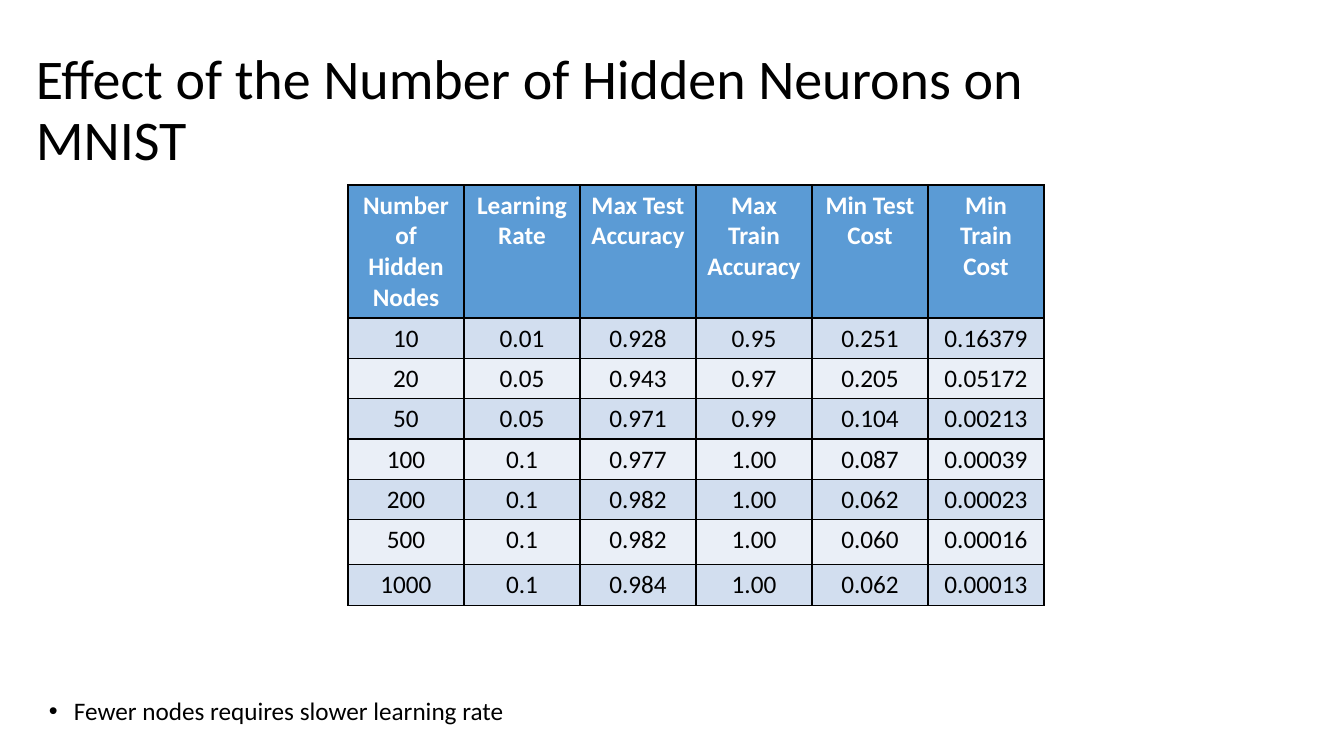
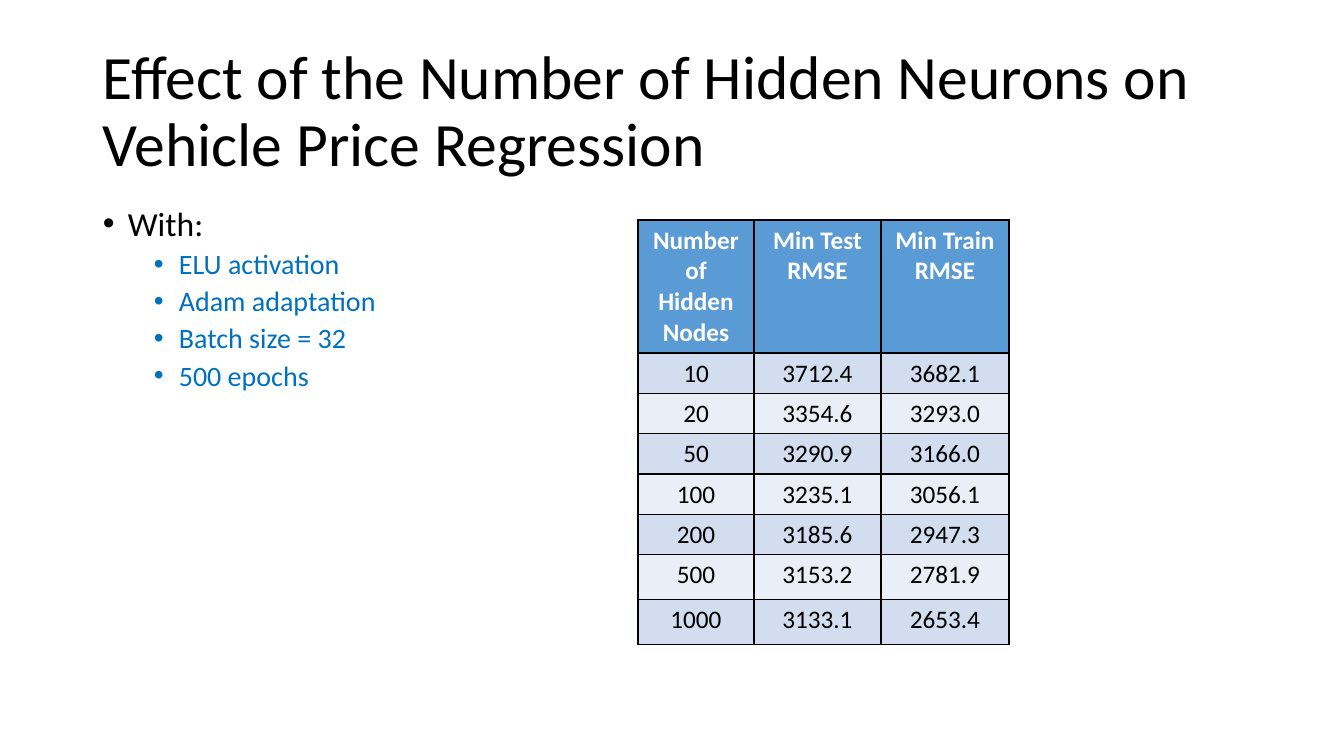
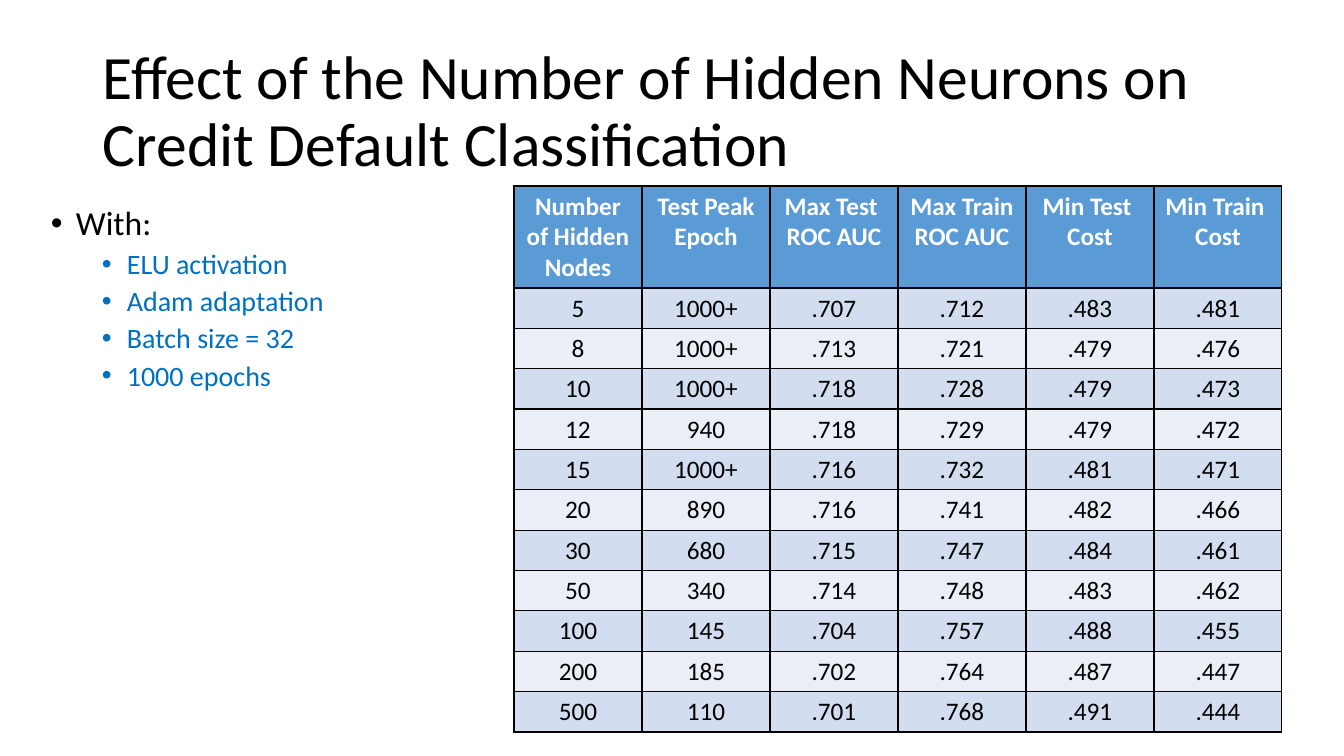
import dataclasses

import lxml.etree
import pptx
import pptx.dml.color
import pptx.enum.text
import pptx.oxml.ns
import pptx.util

FONT = "Calibri"
COLORS = {
    "ink": "000000",
    "white": "FFFFFF",
    "head": "5B9BD5",
    "odd": "D2DEEF",
    "even": "EAEFF7",
    "blue": "0070C0",
}
EMU = 914400 / 100.8  # one px
WIDE, HIGH = 1344, 756
ROW, INDENT, DEPTH = 40, 25, 51
ALIGN = pptx.enum.text.PP_ALIGN
ANCHOR = pptx.enum.text.MSO_ANCHOR


@dataclasses.dataclass
class Box:
    left: int
    top: int
    width: int
    height: int


@dataclasses.dataclass
class Item:
    text: str
    size: int
    color: str = "ink"
    level: int = 0


@dataclasses.dataclass
class Grid:
    left: int
    top: int
    widths: list[int]
    heights: list[int]
    heads: list[str]
    rows: list[str]


@dataclasses.dataclass
class Page:
    title: str
    size: int
    place: Box
    grid: Grid
    body: Box
    items: list[Item]


def px(value: int) -> int:
    return pptx.util.Emu(round(value * EMU))


def rgb(name: str) -> pptx.dml.color.RGBColor:
    return pptx.dml.color.RGBColor.from_string(COLORS[name])


def sub(parent, tag: str, **attrs: str):
    return lxml.etree.SubElement(parent, pptx.oxml.ns.qn(tag), **attrs)


def write(para, text: str, *, size: int = 18, color: str = "ink",
          bold: bool = False, align=ALIGN.LEFT, line: float = 1.0,
          before: int = 0) -> None:
    para.text = text
    para.alignment = align
    para.line_spacing = line
    para.space_before = pptx.util.Pt(before)
    for run in para.runs:
        run.font.name = FONT
        run.font.size = pptx.util.Pt(size)
        run.font.bold = bold
        run.font.color.rgb = rgb(color)


def frame(slide, box: Box, anchor=ANCHOR.TOP):
    shape = slide.shapes.add_textbox(
        px(box.left), px(box.top), px(box.width), px(box.height))
    shape.text_frame.word_wrap = True
    shape.text_frame.vertical_anchor = anchor
    return shape.text_frame


def bullets(slide, box: Box, items: list[Item]) -> None:
    area = frame(slide, box)
    for i, item in enumerate(items):
        para = area.add_paragraph() if i else area.paragraphs[0]
        write(para, item.text, size=item.size, color=item.color, line=0.9,
              before=5 if item.level else 10)
        para.level = item.level
        props = para._p.get_or_add_pPr()
        props.set("marL", str(px(INDENT + DEPTH * item.level)))
        props.set("indent", str(px(-INDENT)))
        sub(props, "a:buFont", typeface="Arial")
        sub(props, "a:buChar", char="•")


def border(cell) -> None:
    props = cell._tc.get_or_add_tcPr()
    for i, side in enumerate(("a:lnL", "a:lnR", "a:lnT", "a:lnB")):
        edge = sub(props, side, w="12700")
        sub(sub(edge, "a:solidFill"), "a:srgbClr", val=COLORS["ink"])
        props.insert(i, edge)  # borders come before the fill


def table(slide, grid: Grid) -> None:
    lines = [grid.heads] + [row.split() for row in grid.rows]
    tab = slide.shapes.add_table(
        len(lines), len(grid.heads), px(grid.left), px(grid.top),
        px(sum(grid.widths)), px(sum(grid.heights))).table
    for col, width in zip(tab.columns, grid.widths):
        col.width = px(width)
    for row, height in zip(tab.rows, grid.heights):
        row.height = px(height)
    for r, line in enumerate(lines):
        fill = "head" if r == 0 else "odd" if r % 2 else "even"
        for c, text in enumerate(line):
            cell = tab.cell(r, c)
            cell.fill.solid()
            cell.fill.fore_color.rgb = rgb(fill)
            border(cell)
            write(cell.text_frame.paragraphs[0], text, bold=r == 0,
                  color="ink" if r else "white", align=ALIGN.CENTER)


def setup(epochs: int) -> list[Item]:
    parts = ("ELU activation", "Adam adaptation", "Batch size = 32",
             f"{epochs} epochs")
    return [Item("With:", 24)] + [Item(part, 20, "blue", 1) for part in parts]


LEAD = "Effect of the Number of Hidden Neurons on "
NODES = "Number of Hidden Nodes"
PLACE = Box(93, 40, 1159, 146)

PAGES = [
    Page(
        "MNIST", 40, Box(26, 39, 1159, 146),
        Grid(348, 185, [116] * 6, [133] + [ROW] * 5 + [45, ROW],
             [NODES, "Learning Rate", "Max Test Accuracy",
              "Max Train Accuracy", "Min Test Cost", "Min Train Cost"],
             ["10 0.01 0.928 0.95 0.251 0.16379",
              "20 0.05 0.943 0.97 0.205 0.05172",
              "50 0.05 0.971 0.99 0.104 0.00213",
              "100 0.1 0.977 1.00 0.087 0.00039",
              "200 0.1 0.982 1.00 0.062 0.00023",
              "500 0.1 0.982 1.00 0.060 0.00016",
              "1000 0.1 0.984 1.00 0.062 0.00013"]),
        Box(39, 694, 632, 43),
        [Item("Fewer nodes requires slower learning rate", 18)]),
    Page(
        "Vehicle Price Regression", 44, PLACE,
        Grid(638, 220, [116, 127, 128], [133] + [ROW] * 5 + [45, 45],
             [NODES, "Min Test RMSE", "Min Train RMSE"],
             ["10 3712.4 3682.1",
              "20 3354.6 3293.0",
              "50 3290.9 3166.0",
              "100 3235.1 3056.1",
              "200 3185.6 2947.3",
              "500 3153.2 2781.9",
              "1000 3133.1 2653.4"]),
        Box(93, 202, 514, 430), setup(500)),
    Page(
        "Credit Default Classification", 44, PLACE,
        Grid(514, 186, [128] * 6, [102] + [ROW] * 11,
             [NODES, "Test Peak Epoch", "Max Test \vROC AUC",
              "Max Train\vROC AUC", "Min Test \vCost", "Min Train \vCost"],
             ["5 1000+ .707 .712 .483 .481",
              "8 1000+ .713 .721 .479 .476",
              "10 1000+ .718 .728 .479 .473",
              "12 940 .718 .729 .479 .472",
              "15 1000+ .716 .732 .481 .471",
              "20 890 .716 .741 .482 .466",
              "30 680 .715 .747 .484 .461",
              "50 340 .714 .748 .483 .462",
              "100 145 .704 .757 .488 .455",
              "200 185 .702 .764 .487 .447",
              "500 110 .701 .768 .491 .444"]),
        Box(41, 202, 427, 514), setup(1000)),
]


def main() -> None:
    deck = pptx.Presentation()
    deck.slide_width, deck.slide_height = px(WIDE), px(HIGH)
    for page in PAGES:
        slide = deck.slides.add_slide(deck.slide_layouts[6])
        # Title
        head = frame(slide, page.place, ANCHOR.MIDDLE)
        write(head.paragraphs[0], LEAD + page.title, size=page.size, line=0.9)
        # Results and notes
        table(slide, page.grid)
        bullets(slide, page.body, page.items)
    deck.save("out.pptx")


if __name__ == "__main__":
    main()
